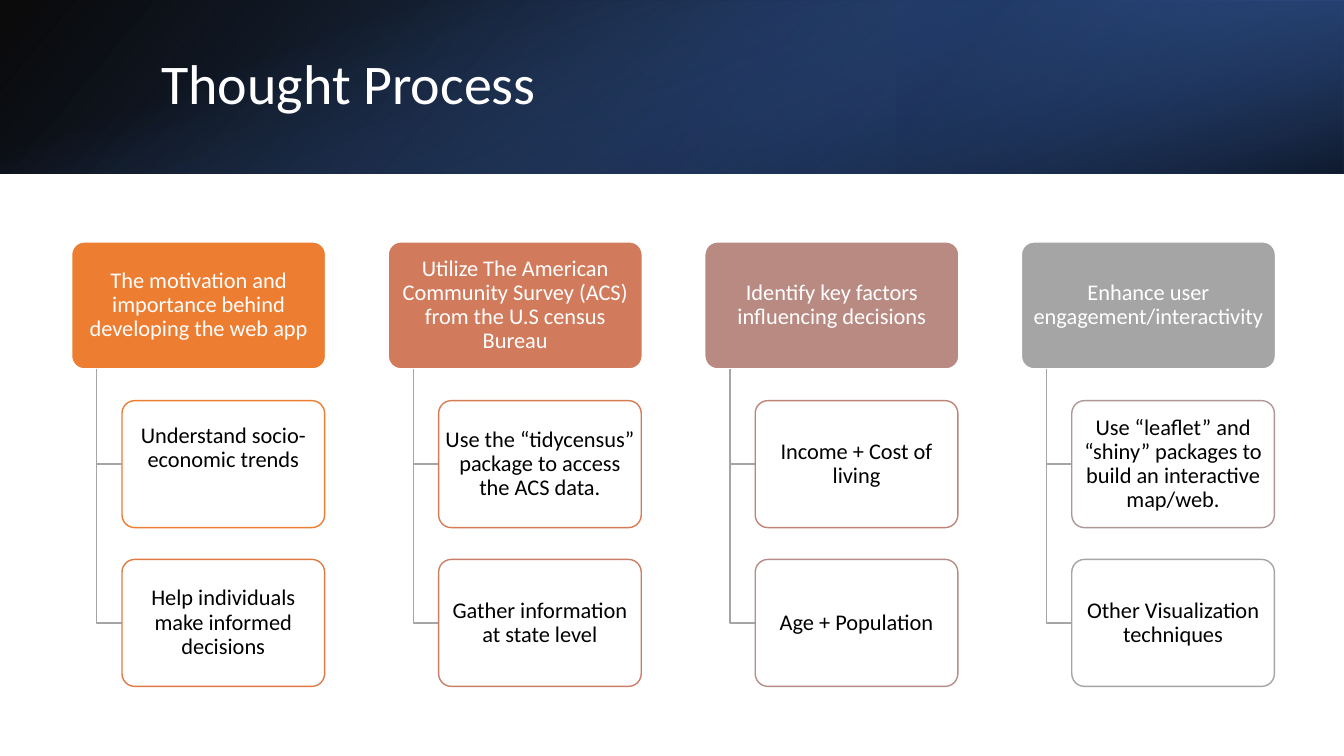
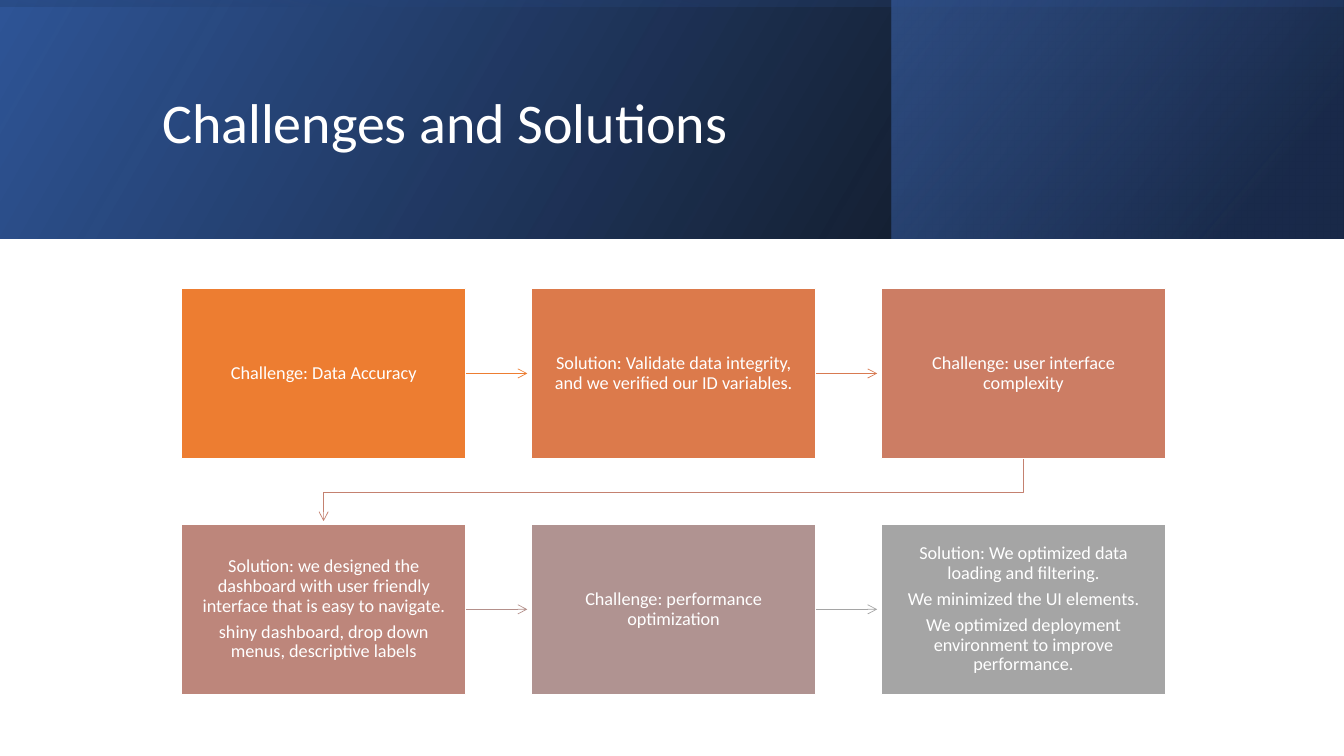
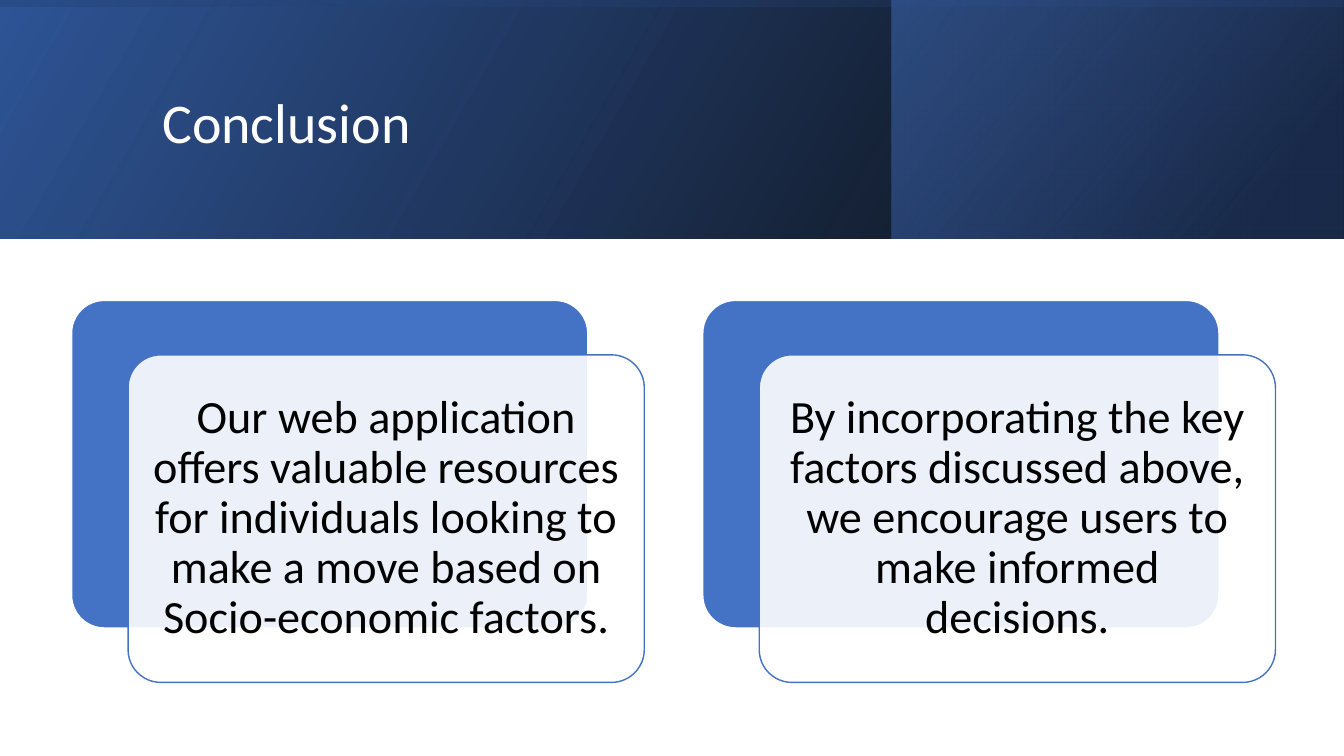
from lxml import etree
from pptx import Presentation
from pptx.dml.color import RGBColor
from pptx.enum import shapes, text
from pptx.oxml import ns
from pptx.util import Inches, Pt

# Colours
WHITE = RGBColor(0xFF, 0xFF, 0xFF)
BLACK = RGBColor(0, 0, 0)
BLUE = RGBColor(0x44, 0x72, 0xC4)
MID_BLUE = RGBColor(0x2F, 0x55, 0x97)
NAVY = RGBColor(0x20, 0x38, 0x64)
GREY = RGBColor(0xA5, 0xA5, 0xA5)
ORANGE = RGBColor(0xED, 0x7D, 0x31)

FONT = "Calibri"
RECT = shapes.MSO_SHAPE.RECTANGLE
ROUND = shapes.MSO_SHAPE.ROUNDED_RECTANGLE

# Header bands: box, rotation, flipped, gradient angle, stops (position, colour, opacity)
TALL_HEADER = {
    "title": (1.51, 0.38, 10.63, 1.72),
    "bands": [
        ((0, 0, 13.33, 2.37), 0, True, 330, [(0, BLACK, 96), (100, MID_BLUE, 100)]),
        ((8.84, 0, 4.48, 2.37), 0, True, 320, [(19, NAVY, 68), (100, BLUE, 48)]),
        ((5.48, -5.48, 2.37, 13.33), 270, True, 350, [(23, MID_BLUE, 16), (99, BLACK, 45)]),
    ],
}
SHORT_HEADER = {
    "title": (1.5, 0.38, 10.98, 0.96),
    "bands": [
        ((0, 0, 13.33, 1.72), 0, True, 140, [(0, BLACK, 96), (100, MID_BLUE, 100)]),
        ((8.89, 0, 4.44, 1.72), 180, True, 320, [(19, NAVY, 68), (100, BLUE, 79)]),
        ((5.8, -5.8, 1.72, 13.33), 90, False, 340, [(23, BLUE, 0), (99, BLACK, 74)]),
    ],
}

# Thought process: heading, heading colour, then (detail, outline colour, extra bottom inset)
PROCESS = [
    ("The motivation and importance behind developing the web app", ORANGE, [
        ("Understand socio-economic trends", ORANGE, 0.32),
        ("Help individuals make informed decisions", RGBColor(0xE0, 0x7A, 0x44), 0)]),
    ("Utilize The American Community Survey (ACS) from the U.S census Bureau",
     RGBColor(0xD1, 0x7B, 0x5C), [
         ("Use the “tidycensus” package to access the ACS data.",
          RGBColor(0xD5, 0x7B, 0x56), 0),
         ("Gather information at state level", RGBColor(0xCA, 0x7E, 0x67), 0)]),
    ("Identify key factors influencing decisions", RGBColor(0xB9, 0x8A, 0x82), [
        ("Income + Cost of living", RGBColor(0xBF, 0x84, 0x78), 0),
        ("Age + Population", RGBColor(0xB6, 0x8D, 0x88), 0)]),
    ("Enhance user engagement/interactivity", GREY, [
        ("Use “leaflet” and “shiny” packages to build an interactive map/web.",
         RGBColor(0xAD, 0x98, 0x97), 0),
        ("Other Visualization techniques", GREY, 0)]),
]

# Challenges: paragraphs, box colour, colour of the arrow to the next step
STEPS = [
    (["Challenge: Data Accuracy"], ORANGE, ORANGE),
    (["Solution: Validate data integrity, and we verified our ID variables."],
     RGBColor(0xDC, 0x7A, 0x4B), RGBColor(0xD8, 0x7A, 0x51)),
    (["Challenge: user interface complexity"],
     RGBColor(0xCC, 0x7D, 0x64), RGBColor(0xC4, 0x81, 0x70)),
    (["Solution: we designed the dashboard with user friendly interface that is "
      "easy to navigate.",
      "shiny dashboard, drop down menus, descriptive labels"],
     RGBColor(0xBD, 0x86, 0x7B), RGBColor(0xB4, 0x90, 0x8B)),
    (["Challenge: performance optimization"], RGBColor(0xB0, 0x93, 0x91), GREY),
    (["Solution: We optimized data loading and filtering.",
      "We minimized the UI elements.",
      "We optimized deployment environment to improve performance."], GREY, None),
]

CONCLUSIONS = [
    "Our web application offers valuable resources for individuals looking to make a "
    "move based on Socio-economic factors.",
    "By incorporating the key factors discussed above, we encourage users to make "
    "informed decisions.",
]


def set_alpha(parent, percent):
    """Set the opacity of the first colour below an element."""
    colour = next(parent.iter(ns.qn("a:srgbClr")))
    etree.SubElement(colour, ns.qn("a:alpha")).set("val", str(percent * 1000))


def write(shape, lines, size, colour, align, insets):
    frame = shape.text_frame
    left, top, right, bottom = (Inches(inset) for inset in insets)
    frame_format = {"word_wrap": True, "auto_size": text.MSO_AUTO_SIZE.NONE,
                    "vertical_anchor": text.MSO_ANCHOR.MIDDLE,
                    "margin_left": left, "margin_top": top,
                    "margin_right": right, "margin_bottom": bottom}
    for name, value in frame_format.items():
        setattr(frame, name, value)
    for index, line in enumerate(lines):
        paragraph = frame.add_paragraph() if index else frame.paragraphs[0]
        paragraph.text = line
        paragraph.alignment = align
        paragraph.line_spacing = 0.9
        if index < len(lines) - 1:
            paragraph.space_after = Pt(4.5)
        for name, value in {"name": FONT, "size": Pt(size)}.items():
            setattr(paragraph.font, name, value)
        paragraph.font.color.rgb = colour


def add_box(slide, kind, box, fill, line, opacity=100):
    shape = slide.shapes.add_shape(kind, *(Inches(length) for length in box))
    shape.shadow.inherit = False
    shape.fill.solid()
    shape.fill.fore_color.rgb = fill
    if opacity < 100:
        set_alpha(shape._element.spPr, opacity)
    shape.line.color.rgb = line
    shape.line.width = Pt(1)
    if kind == ROUND:
        shape.adjustments[0] = 0.1
    return shape


def add_band(slide, box, rotation, flipped, angle, stops):
    shape = slide.shapes.add_shape(RECT, *(Inches(length) for length in box))
    shape.shadow.inherit = False
    shape.rotation = rotation
    if flipped:
        shape._element.spPr.find(ns.qn("a:xfrm")).set("flipH", "1")
    shape.line.fill.background()
    shape.fill.gradient()
    shape.fill.gradient_angle = 360 - angle
    for stop, (position, colour, opacity) in zip(shape.fill.gradient_stops, stops):
        stop.position = position / 100
        stop.color.rgb = colour
        if opacity < 100:
            set_alpha(stop._gs, opacity)


def add_line(slide, points, colour, width, arrow=False):
    """Draw a straight connector, or an open outline when there are bends."""
    points = [(Inches(x), Inches(y)) for x, y in points]
    if len(points) == 2:
        line = slide.shapes.add_connector(
            shapes.MSO_CONNECTOR.STRAIGHT, *points[0], *points[1])
    else:
        builder = slide.shapes.build_freeform(*points[0])
        builder.add_line_segments(points[1:], close=False)
        line = builder.convert_to_shape()
        line.fill.background()
    line.line.color.rgb = colour
    line.line.width = Pt(width)
    if arrow:
        outline = line.line._get_or_add_ln()
        etree.SubElement(outline, ns.qn("a:tailEnd")).set("type", "arrow")
    etree.SubElement(line._element.spPr, ns.qn("a:effectLst"))


def add_slide(presentation, title_text, header):
    slide = presentation.slides.add_slide(presentation.slide_layouts[5])
    for band in header["bands"]:
        add_band(slide, *band)
    title = slide.shapes.title
    title.left, title.top, title.width, title.height = map(Inches, header["title"])
    write(title, [title_text], 40, WHITE, text.PP_ALIGN.LEFT, (0.1, 0.05, 0.1, 0.05))
    slide.shapes._spTree.append(title._element)  # bring in front of the bands
    return slide


def build_process(presentation):
    slide = add_slide(presentation, "Thought Process", SHORT_HEADER)
    left, top, width, height, indent = 0.71, 2.4, 2.52, 1.26, 0.5
    center = text.PP_ALIGN.CENTER
    for column, (heading, colour, details) in enumerate(PROCESS):
        x = left + column * 3.14
        box = add_box(slide, ROUND, (x, top, width, height), colour, WHITE)
        write(box, [heading], 16, WHITE, center, (0.03, 0.02, 0.03, 0.02))
        for row, (detail, outline, extra) in enumerate(details, 1):
            y = top + row * 1.25 * height
            middle = y + height / 2
            trunk = x + indent / 2
            add_line(slide, [(trunk, top + height), (trunk, middle), (x + indent, middle)],
                     GREY, 1)
            box = add_box(slide, ROUND, (x + indent, y, 2.01, height), WHITE, outline, 90)
            write(box, [detail], 16, BLACK, center, (0.03, 0.02, 0.03, 0.02 + extra))


def build_challenges(presentation):
    slide = add_slide(presentation, "Challenges and Solutions", TALL_HEADER)
    columns, width, height, pitch_x, pitch_y = 3, 2.82, 1.69, 3.47, 2.34
    for index, (lines, colour, arrow) in enumerate(STEPS):
        row, column = divmod(index, columns)
        x, y = 1.8 + column * pitch_x, 2.86 + row * pitch_y
        middle = y + height / 2
        if column < columns - 1:
            route = [(x + width, middle), (x + width + 0.61, middle)]
        else:  # wrap to the start of the next row
            start, end = x + width / 2, 1.8 + width / 2
            bottom, turn = y + height, y + height + 0.33
            route = [(start, bottom), (start, turn), (end, turn), (end, bottom + 0.62)]
        if arrow is not None:
            add_line(slide, route, arrow, 0.5, arrow=True)
        box = add_box(slide, RECT, (x, y, width, height), colour, WHITE)
        write(box, lines, 13, WHITE, text.PP_ALIGN.CENTER, (0.14, 0.15, 0.14, 0.15))


def build_conclusion(presentation):
    slide = add_slide(presentation, "Conclusion", TALL_HEADER)
    top, width, height = 2.98, 5.12, 3.25
    for column, conclusion in enumerate(CONCLUSIONS):
        x = 0.71 + column * 6.26
        add_box(slide, ROUND, (x, top, width, height), BLUE, WHITE)
        card = add_box(slide, ROUND, (x + 0.56, top + 0.54, width, height), WHITE, BLUE, 90)
        write(card, [conclusion], 33, BLACK, text.PP_ALIGN.CENTER, [0.14] * 4)


def main():
    presentation = Presentation()
    presentation.slide_width = Inches(13.33)
    presentation.slide_height = Inches(7.5)
    for build in (build_process, build_challenges, build_conclusion):
        build(presentation)
    presentation.save("out.pptx")


if __name__ == "__main__":
    main()
